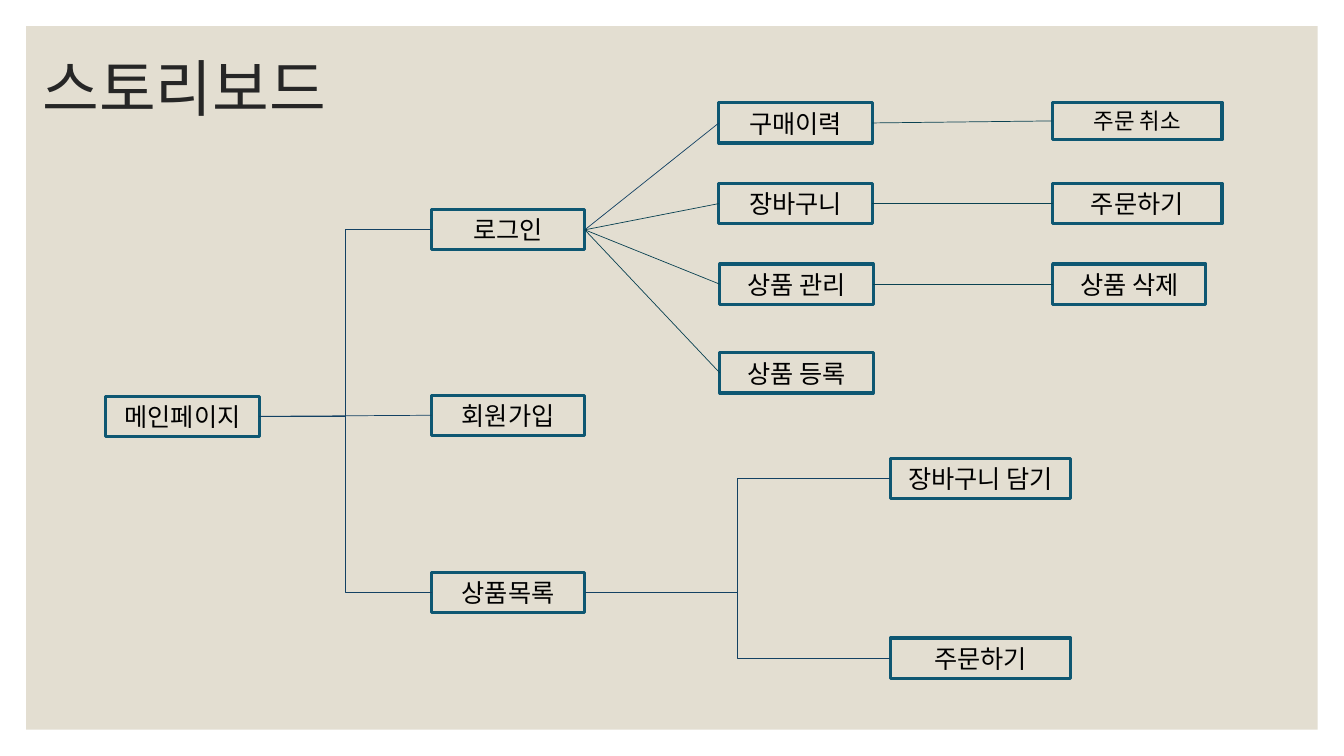
from lxml import etree
from pptx import Presentation
from pptx.dml.color import RGBColor
from pptx.enum import shapes, text
from pptx.oxml import ns
from pptx.util import Inches, Pt

TITLE = "스토리보드"
# key: label, column, row (middle of the box)
NODES = {
    "main": ("메인페이지", "home", 4.13),
    "login": ("로그인", "menu", 2.28),
    "join": ("회원가입", "menu", 4.12),
    "list": ("상품목록", "menu", 5.88),
    "past": ("구매이력", "user", 1.22),
    "cart": ("장바구니", "user", 2.02),
    "manage": ("상품 관리", "admin", 2.82),
    "enrol": ("상품 등록", "admin", 3.7),
    "cancel": ("주문 취소", "act", 1.2),
    "order": ("주문하기", "act", 2.02),
    "delete": ("상품 삭제", "drop", 2.82),
    "add": ("장바구니 담기", "shop", 4.75),
    "buy": ("주문하기", "shop", 6.53),
}
# column: left edge, box width
COLS = {
    "home": (1.05, 1.52), "menu": (4.28, 1.52),
    "user": (7.13, 1.52), "admin": (7.14, 1.52),
    "act": (10.44, 1.68), "drop": (10.44, 1.52), "shop": (8.83, 1.79),
}
SMALL = {"cancel": (0.37, 16)}  # box height, text size
USUAL = (0.4, 18)

NAVY, TEAL = RGBColor(0x13, 0x41, 0x63), RGBColor(0x0A, 0x42, 0x52)
EDGE, SAND = RGBColor(0x0E, 0x57, 0x72), RGBColor(0xE3, 0xDE, 0xD1)
BLACK, DARK = RGBColor(0, 0, 0), RGBColor(0x26, 0x26, 0x26)
LATIN, HANGUL = "TeX Gyre Adventor", "Noto Sans CJK KR"

LINE, BENT = shapes.MSO_CONNECTOR.STRAIGHT, shapes.MSO_CONNECTOR.ELBOW
# start, ends, kind, colour
LINKS = [
    ("main", ["join"], LINE, NAVY),
    ("main", ["login", "list"], BENT, NAVY),
    ("list", ["add", "buy"], BENT, NAVY),
    ("login", ["past"], LINE, NAVY),
    ("login", ["cart", "manage", "enrol"], LINE, TEAL),
    ("past", ["cancel"], LINE, TEAL),
    ("cart", ["order"], LINE, TEAL),
    ("manage", ["delete"], LINE, TEAL),
]
RIGHT, LEFT = 3, 1
WIDE, HIGH, RIM = 13.33, 7.5, 0.26


def write(frame, words, size, face, color, align):
    for name, value in dict(word_wrap=True, vertical_anchor=text.MSO_ANCHOR.MIDDLE,
                            auto_size=text.MSO_AUTO_SIZE.NONE).items():
        setattr(frame, name, value)
    para = frame.paragraphs[0]
    para.alignment = align
    run = para.add_run()
    run.text = words
    run.font.size, run.font.name = Pt(size), face
    run.font.color.rgb = color
    east = etree.SubElement(run.font._element, ns.qn("a:ea"))
    east.set("typeface", HANGUL)
    return para


def block(slide, left, top, width, height):
    box = slide.shapes.add_shape(shapes.MSO_SHAPE.RECTANGLE,
                                 *map(Inches, (left, top, width, height)))
    box.shadow.inherit = False
    return box


def node(slide, key):
    words, col, mid = NODES[key]
    left, width = COLS[col]
    height, size = SMALL.get(key, USUAL)
    box = block(slide, left, mid - height / 2, width, height)
    box.fill.background()
    box.line.color.rgb, box.line.width = EDGE, Pt(2.25)
    frame = box.text_frame
    for side in ("left", "right", "top", "bottom"):
        setattr(frame, "margin_" + side, 0)
    write(frame, words, size, LATIN, BLACK, text.PP_ALIGN.CENTER)
    return box


def link(slide, start, end, kind, color):
    wire = slide.shapes.add_connector(kind, 0, 0, 0, 0)
    wire.begin_connect(start, RIGHT)
    wire.end_connect(end, LEFT)
    wire.line.color.rgb, wire.line.width = color, Pt(0.5)
    etree.SubElement(wire._element.spPr, ns.qn("a:effectLst"))


def main():
    deck = Presentation()
    deck.slide_width, deck.slide_height = Inches(WIDE), Inches(HIGH)
    slide = deck.slides.add_slide(deck.slide_layouts[5])

    panel = block(slide, RIM, RIM, WIDE - 2 * RIM, HIGH - 2 * RIM)
    panel.fill.solid()
    panel.fill.fore_color.rgb = SAND
    panel.line.fill.background()
    slide.shapes._spTree.insert(2, panel._element)  # behind the title

    title = slide.shapes.title
    title.left, title.top, title.width, title.height = map(Inches, (0.32, 0.16, 11, 1.5))
    para = write(title.text_frame, TITLE, 44, HANGUL, DARK, text.PP_ALIGN.LEFT)
    para.line_spacing = 0.9

    boxes = {key: node(slide, key) for key in NODES}
    for start, ends, kind, color in LINKS:
        for end in ends:
            link(slide, boxes[start], boxes[end], kind, color)
    deck.save("out.pptx")


if __name__ == "__main__":
    main()
